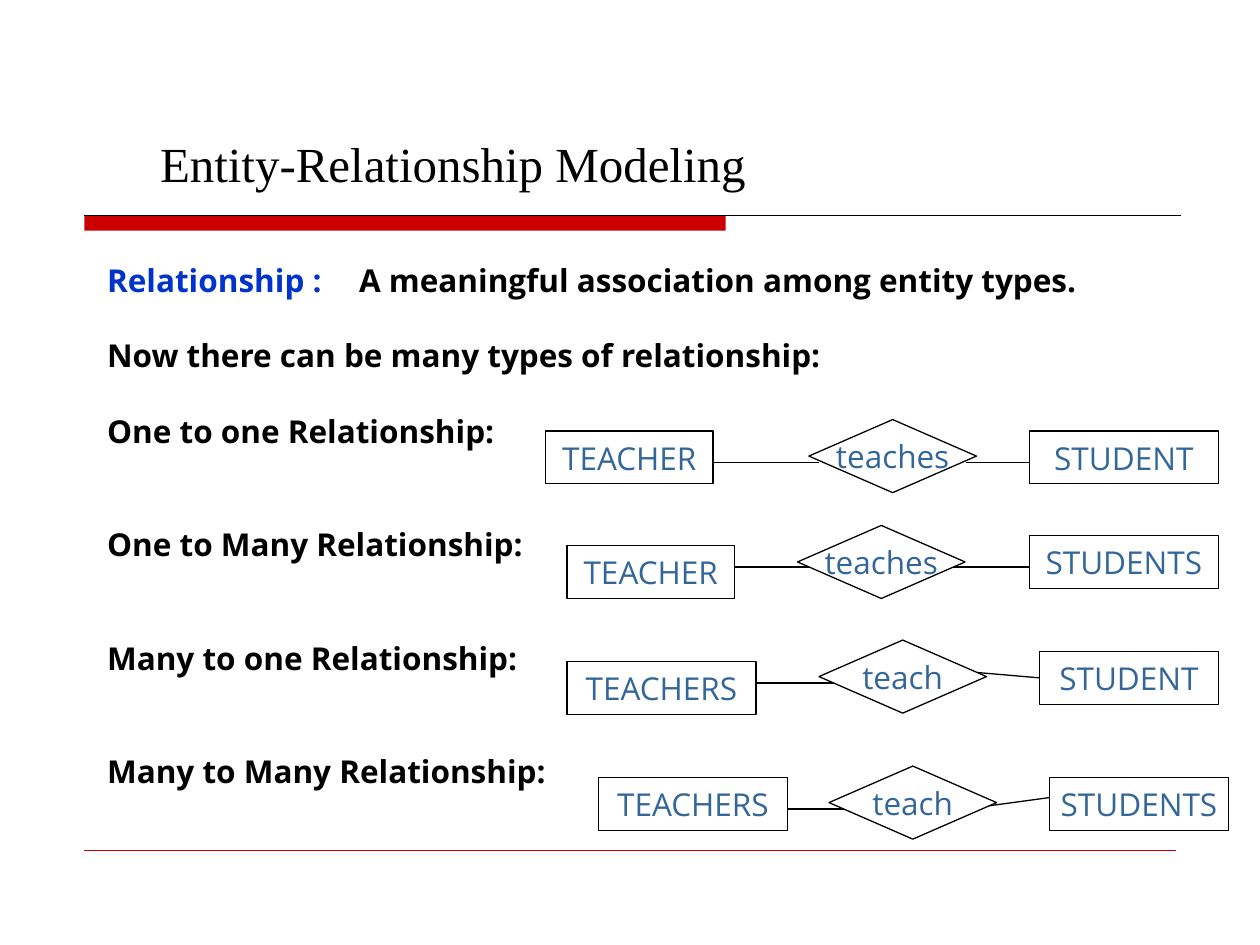
from dataclasses import dataclass

from lxml import etree
from pptx import Presentation
from pptx.dml.color import RGBColor
from pptx.enum.shapes import MSO_CONNECTOR, MSO_SHAPE
from pptx.enum.text import MSO_ANCHOR, MSO_AUTO_SIZE, PP_ALIGN
from pptx.oxml.ns import qn
from pptx.slide import Slide
from pptx.util import Inches, Pt

BLACK = RGBColor(0x00, 0x00, 0x00)
WHITE = RGBColor(0xFF, 0xFF, 0xFF)
RED = RGBColor(0xCC, 0x00, 0x00)
BLUE = RGBColor(0x00, 0x33, 0xCC)
STEEL = RGBColor(0x33, 0x66, 0x99)

RECTANGLE = MSO_SHAPE.RECTANGLE
DIAMOND = MSO_SHAPE.DIAMOND
STRAIGHT = MSO_CONNECTOR.STRAIGHT
LEFT, CENTER = PP_ALIGN.LEFT, PP_ALIGN.CENTER
MIDDLE = MSO_ANCHOR.MIDDLE
NO_AUTOFIT = MSO_AUTO_SIZE.NONE
LEFT_SIDE = 1

BOX_HEIGHT = 0.42
DIAMOND_WIDTH, DIAMOND_HEIGHT = 1.33, 0.58
LINE_PITCH = 21.6

# Each paragraph: blank lines above it, then its runs as (text, colour).
BODY = [
    (0, [("Relationship :", BLUE), ("\tA meaningful association among entity types.", BLACK)]),
    (1, [("Now there can be many types of relationship:", BLACK)]),
    (1, [("One to one Relationship:", BLACK)]),
    (2, [("One to Many Relationship:", BLACK)]),
    (2, [("Many to one Relationship:", BLACK)]),
    (2, [("Many to Many Relationship:", BLACK)]),
]

# Each row: left entity, relationship, right entity, then the two links.
# Entity: text, left, top, width. Relationship: text, left, top.
# Link: start x, start y, end x, end y.
RELATIONSHIPS = [
    (("TEACHER", 4.33, 3.42, 1.33), ("teaches", 6.42, 3.33), ("STUDENT", 8.17, 3.42, 1.5),
     (5.67, 3.67, 6.5, 3.67), (7.67, 3.67, 8.17, 3.67)),
    (("TEACHER", 4.5, 4.33, 1.33), ("teaches", 6.33, 4.17), ("STUDENTS", 8.17, 4.25, 1.5),
     (5.83, 4.5, 6.58, 4.5), (7.42, 4.5, 8.17, 4.5)),
    (("TEACHERS", 4.5, 5.25, 1.5), ("teach", 6.5, 5.08), ("STUDENT", 8.25, 5.17, 1.42),
     (6, 5.42, 6.75, 5.42), (7.67, 5.33, 8.25, 5.38)),
    (("TEACHERS", 4.75, 6.17, 1.5), ("teach", 6.58, 6.08), ("STUDENTS", 8.33, 6.17, 1.42),
     (6.25, 6.42, 7, 6.42), (7.67, 6.42, 8.33, 6.33)),
]


@dataclass
class DiagramSlide:
    slide: Slide
    font: str = "Open Sans"
    title_font: str = "Times New Roman"
    size: float = 18
    title_size: float = 28
    line_width: float = 0.75

    def add_run(self, paragraph, text, color, bold=False):
        run = paragraph.add_run()
        run.text = text
        run.font.name = self.font
        run.font.size = Pt(self.size)
        run.font.bold = bold
        run.font.color.rgb = color
        return run

    def title(self, text, left, top, width, height):
        shape = self.slide.shapes.title
        shape.left, shape.top = Inches(left), Inches(top)
        shape.width, shape.height = Inches(width), Inches(height)
        frame = shape.text_frame
        frame.auto_size = NO_AUTOFIT
        frame.vertical_anchor = MIDDLE
        paragraph = frame.paragraphs[0]
        paragraph.alignment = LEFT
        paragraph.line_spacing = 0.87
        run = self.add_run(paragraph, text, BLACK)
        run.font.name = self.title_font
        run.font.size = Pt(self.title_size)

    def body(self, paragraphs, left, top, width, height):
        shape = self.slide.shapes.add_textbox(
            Inches(left), Inches(top), Inches(width), Inches(height))
        frame = shape.text_frame
        frame.word_wrap = True
        frame.margin_left = Inches(0.6)
        frame.margin_top = Inches(0.07)
        for index, (blank_lines, runs) in enumerate(paragraphs):
            paragraph = frame.add_paragraph() if index else frame.paragraphs[0]
            paragraph.line_spacing = Pt(LINE_PITCH)
            paragraph.space_before = Pt(LINE_PITCH * blank_lines)
            for text, color in runs:
                self.add_run(paragraph, text, color, bold=True)

    def shape(self, kind, left, top, width, height, fill, line):
        shape = self.slide.shapes.add_shape(
            kind, Inches(left), Inches(top), Inches(width), Inches(height))
        shape.shadow.inherit = False
        shape.fill.solid()
        shape.fill.fore_color.rgb = fill
        if line is None:
            shape.line.fill.background()
        else:
            shape.line.color.rgb = line
            shape.line.width = Pt(self.line_width)
        return shape

    def labelled(self, kind, text, left, top, width, height):
        shape = self.shape(kind, left, top, width, height, WHITE, BLACK)
        frame = shape.text_frame
        frame.word_wrap = False
        frame.vertical_anchor = MIDDLE
        paragraph = frame.paragraphs[0]
        paragraph.alignment = CENTER
        self.add_run(paragraph, text, STEEL)
        return shape

    def entity(self, text, left, top, width):
        return self.labelled(RECTANGLE, text, left, top, width, BOX_HEIGHT)

    def relationship(self, text, left, top):
        return self.labelled(DIAMOND, text, left, top, DIAMOND_WIDTH, DIAMOND_HEIGHT)

    def line(self, x1, y1, x2, y2, color=BLACK, width=None):
        connector = self.slide.shapes.add_connector(
            STRAIGHT, Inches(x1), Inches(y1), Inches(x2), Inches(y2))
        connector.line.color.rgb = color
        connector.line.width = Pt(width or self.line_width)
        properties = connector._element.find(qn("p:spPr"))
        etree.SubElement(properties, qn("a:effectLst"))
        return connector

    def relationship_row(self, left_entity, relationship, right_entity, left_link, right_link):
        self.entity(*left_entity)
        right_box = self.entity(*right_entity)
        self.line(*left_link)
        connector = self.line(*right_link)
        middle = right_entity[2] + BOX_HEIGHT / 2
        if abs(right_link[3] - middle) < 0.01:
            connector.end_connect(right_box, LEFT_SIDE)
        self.relationship(*relationship)


def main():
    presentation = Presentation()
    presentation.slide_width = Inches(10)
    presentation.slide_height = Inches(7.5)
    title_only = presentation.slide_layouts[5]
    page = DiagramSlide(presentation.slides.add_slide(title_only))

    page.shape(RECTANGLE, 0.67, 1.71, 5.09, 0.12, RED, None)
    page.line(0.67, 1.71, 9.37, 1.71)
    page.line(0.67, 6.75, 9.33, 6.75, RED, 0.25)
    page.title("Entity-Relationship Modeling", 1.17, 1.08, 7.83, 0.5)
    page.body(BODY, 0.25, 2, 8.92, 5.45)
    for row in RELATIONSHIPS:
        page.relationship_row(*row)

    presentation.save("out.pptx")


if __name__ == "__main__":
    main()
